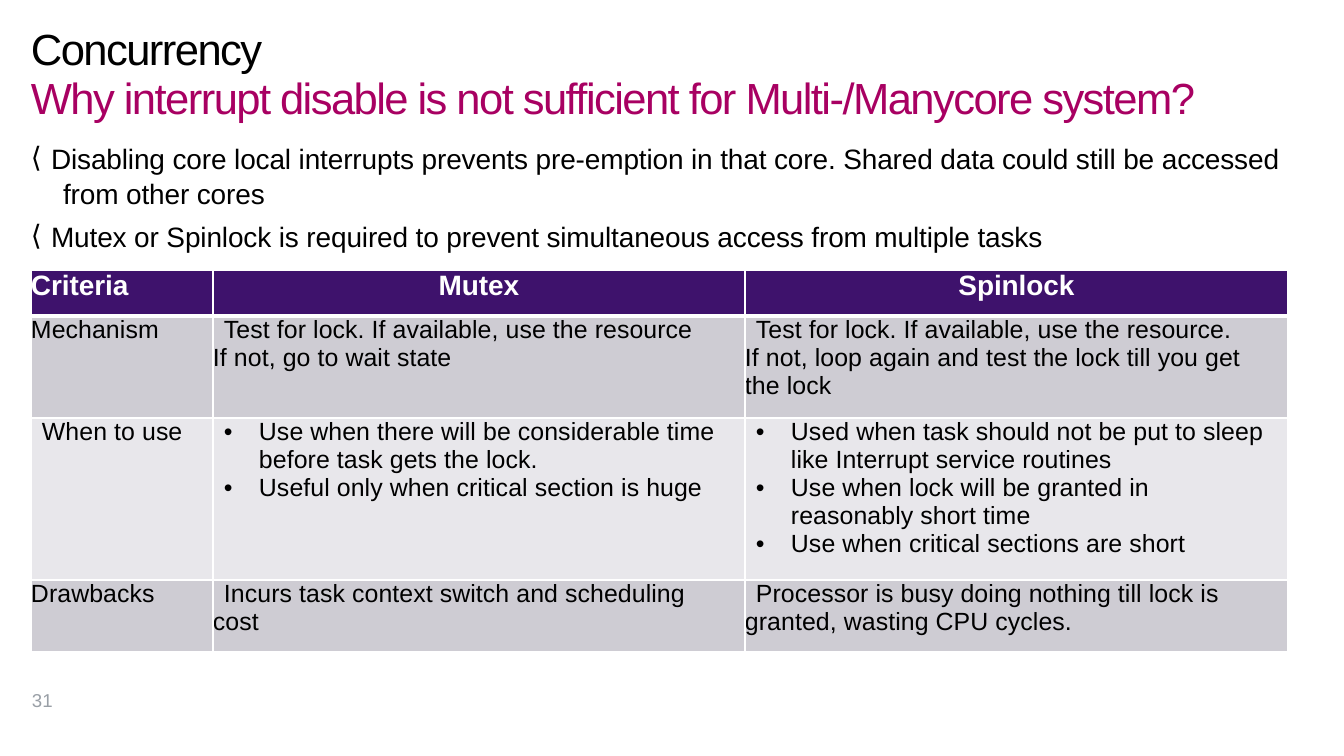
"""Build the slide comparing mutexes and spinlocks on multicore systems."""
from lxml.etree import SubElement
from pptx import Presentation
from pptx.dml.color import RGBColor
from pptx.enum.text import MSO_ANCHOR, MSO_AUTO_SIZE, PP_ALIGN
from pptx.oxml.ns import qn
from pptx.util import Pt

TITLE = [("Concurrency", "ink"),
         ("Why interrupt disable is not sufficient for Multi-/Manycore system?", "accent")]
POINTS = [
    ("Disabling core local interrupts prevents pre-emption in that core. "
     "Shared data could still be accessed",
     {"bullet": "⟨", "left": 20, "first": -20}),
    ("from other cores", {"first": 32, "before": 1}),
    ("Mutex or Spinlock is required to prevent simultaneous access from multiple tasks",
     {"bullet": "⟨", "left": 20, "first": -20, "before": 6}),
]
HEADER = ["Criteria", "Mutex", "Spinlock"]
ROWS = [
    ("Mechanism", {},
     ["Test for lock. If available, use the resource\vIf not, go to wait state"],
     ["Test for lock. If available, use the resource.\v"
      "If not, loop again and test the lock till you get\vthe lock"],
     {"first": 11}),
    ("When to use", {"first": 11},
     ["Use when there will be considerable time before task gets the lock.",
      "Useful only when critical section is huge"],
     ["Used when task should not be put to sleep like Interrupt service routines",
      "Use when lock will be granted in\vreasonably short time",
      "Use when critical sections are short"],
     {"bullet": "•", "left": 46, "first": -35}),
    ("Drawbacks", {},
     ["Incurs task context switch and scheduling\vcost"],
     ["Processor is busy doing nothing till lock is granted, wasting CPU cycles."],
     {"first": 11}),
]
PAGE_NUMBER = "31"
COLUMN_WIDTHS = [182, 532, 543]
ROW_HEIGHTS = [46, 102, 162, 72]
THEME = {
    "font": "Arial",
    "ink": "000000", "accent": "A80062", "muted": "999FA6", "white": "FFFFFF",
    "header": "3E126C", "bands": ["CECCD3", "E8E7EB"],
    "title": 28, "body": 18, "cell": 16, "number": 12,
}


def px(value):
    return round(value * 914400 / 112)


def set_all(target, values):
    for name, value in values.items():
        setattr(target, name, value)


def write(para, text, size, color="ink", tracking=0, bold=False, align=PP_ALIGN.LEFT,
          bullet=None, left=0, first=0, before=0, spacing=None):
    para.text = text
    set_all(para, {"alignment": align, "space_before": Pt(before), "line_spacing": spacing})
    properties = para._p.get_or_add_pPr()
    properties.set("marL", str(px(left)))
    properties.set("indent", str(px(first)))
    if bullet:
        SubElement(properties, qn("a:buFont"), typeface=THEME["font"])
        SubElement(properties, qn("a:buChar"), char=bullet)
    else:
        SubElement(properties, qn("a:buNone"))
    for span in para.runs:
        set_all(span.font, {"name": THEME["font"], "size": Pt(THEME[size]), "bold": bold})
        span.font.color.rgb = RGBColor.from_string(THEME[color])
        span._r.get_or_add_rPr().set("spc", str(tracking))


def fill_frame(frame, paragraphs):
    for index, (text, style) in enumerate(paragraphs):
        para = frame.paragraphs[0] if index == 0 else frame.add_paragraph()
        write(para, text, **style)


def prepare(box, area, wrap=True):
    set_all(box, dict(zip(("left", "top", "width", "height"), map(px, area))))
    set_all(box.text_frame, {
        "margin_left": 0, "margin_top": 0, "margin_right": 0, "margin_bottom": 0,
        "word_wrap": wrap, "auto_size": MSO_AUTO_SIZE.NONE,
        "vertical_anchor": MSO_ANCHOR.TOP})
    return box.text_frame


def add_borders(cell, widths):
    properties = cell._tc.get_or_add_tcPr()
    for side, width in widths.items():
        line = SubElement(properties, qn("a:ln" + side), w=str(Pt(width)))
        SubElement(SubElement(line, qn("a:solidFill")), qn("a:srgbClr"), val=THEME["white"])


def fill_cell(cell, row, paragraphs):
    set_all(cell, {"margin_left": 0, "margin_top": 0, "margin_right": 0, "margin_bottom": 0,
                   "vertical_anchor": MSO_ANCHOR.TOP})
    add_borders(cell, {"L": 1, "R": 1, "T": 3 if row == 1 else 1, "B": 3 if row == 0 else 1})
    cell.fill.solid()
    color = THEME["bands"][(row - 1) % 2] if row else THEME["header"]
    cell.fill.fore_color.rgb = RGBColor.from_string(color)
    fill_frame(cell.text_frame, paragraphs)


def add_comparison(page):
    table = page.shapes.add_table(
        len(ROWS) + 1, len(HEADER), px(31), px(270),
        px(sum(COLUMN_WIDTHS)), px(sum(ROW_HEIGHTS))).table
    for column, width in zip(table.columns, COLUMN_WIDTHS):
        column.width = px(width)
    for row, height in zip(table.rows, ROW_HEIGHTS):
        row.height = px(height)
    for column, text in enumerate(HEADER):
        align = PP_ALIGN.CENTER if column else PP_ALIGN.LEFT
        style = {"size": "body", "color": "white", "bold": True, "align": align, "tracking": -5}
        fill_cell(table.cell(0, column), 0, [(text, style)])
    base = {"size": "cell", "tracking": 8}
    for row, (label, label_style, mutex, spinlock, style) in enumerate(ROWS, 1):
        fill_cell(table.cell(row, 0), row, [(label, base | label_style)])
        for column, texts in enumerate((mutex, spinlock), 1):
            fill_cell(table.cell(row, column), row,
                      [(text, base | {"spacing": 1.01} | style) for text in texts])


def main():
    deck = Presentation()
    set_all(deck, {"slide_width": px(1344), "slide_height": px(756)})
    page = deck.slides.add_slide(deck.slide_layouts[5])
    title = prepare(page.shapes.title, (31, 24, 1272, 103))
    fill_frame(title, [(text, {"size": "title", "color": color, "tracking": -100,
                               "spacing": Pt(32)}) for text, color in TITLE])
    number = prepare(page.shapes.add_textbox(0, 0, 0, 0), (28, 689, 27, 21), wrap=False)
    fill_frame(number, [(PAGE_NUMBER, {"size": "number", "color": "muted", "first": 4,
                                       "spacing": Pt(14)})])
    points = prepare(page.shapes.add_textbox(0, 0, 0, 0), (31, 141, 1275, 108))
    fill_frame(points, [(text, {"size": "body", "tracking": -8} | style)
                        for text, style in POINTS])
    add_comparison(page)
    deck.save("out.pptx")


if __name__ == "__main__":
    main()
